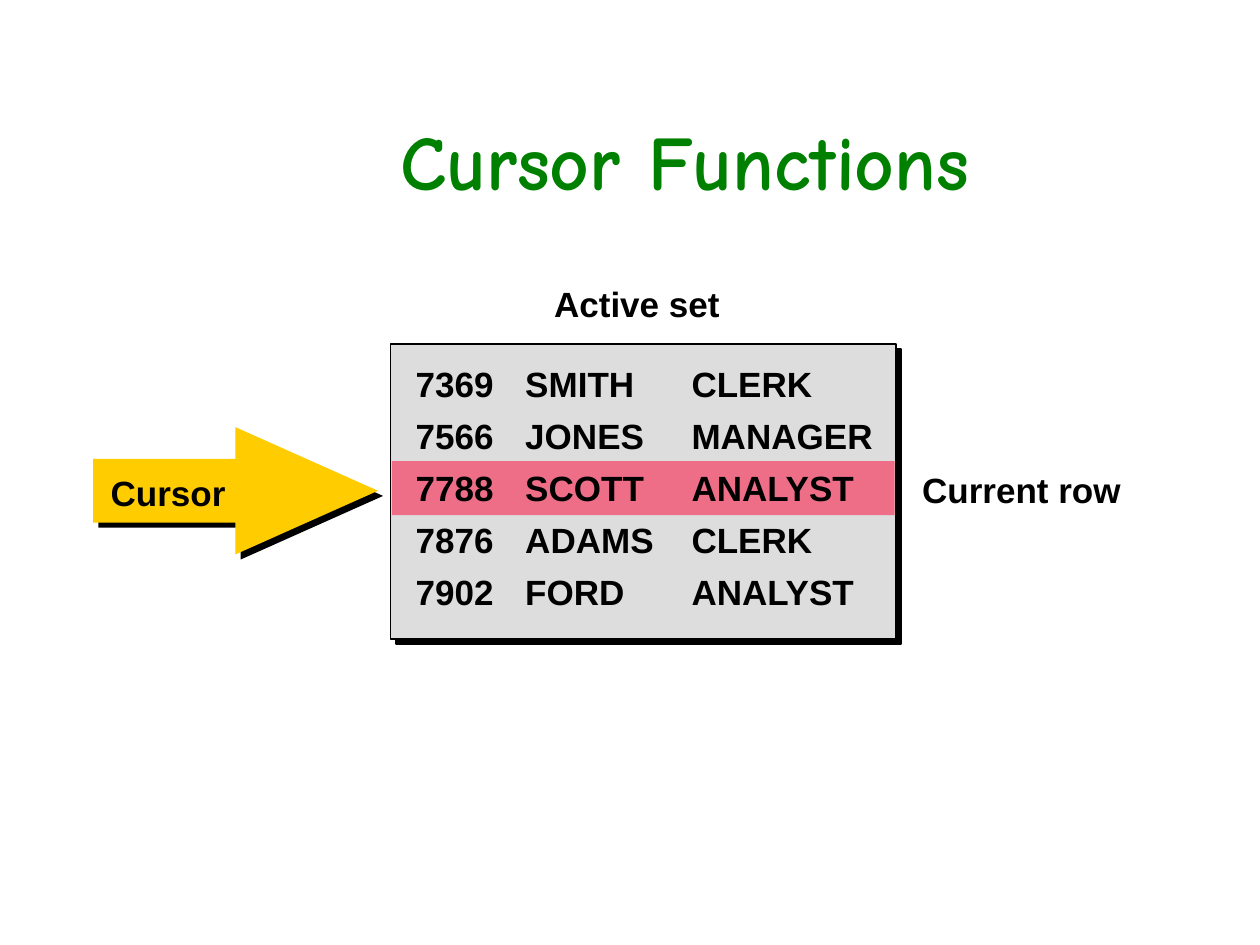
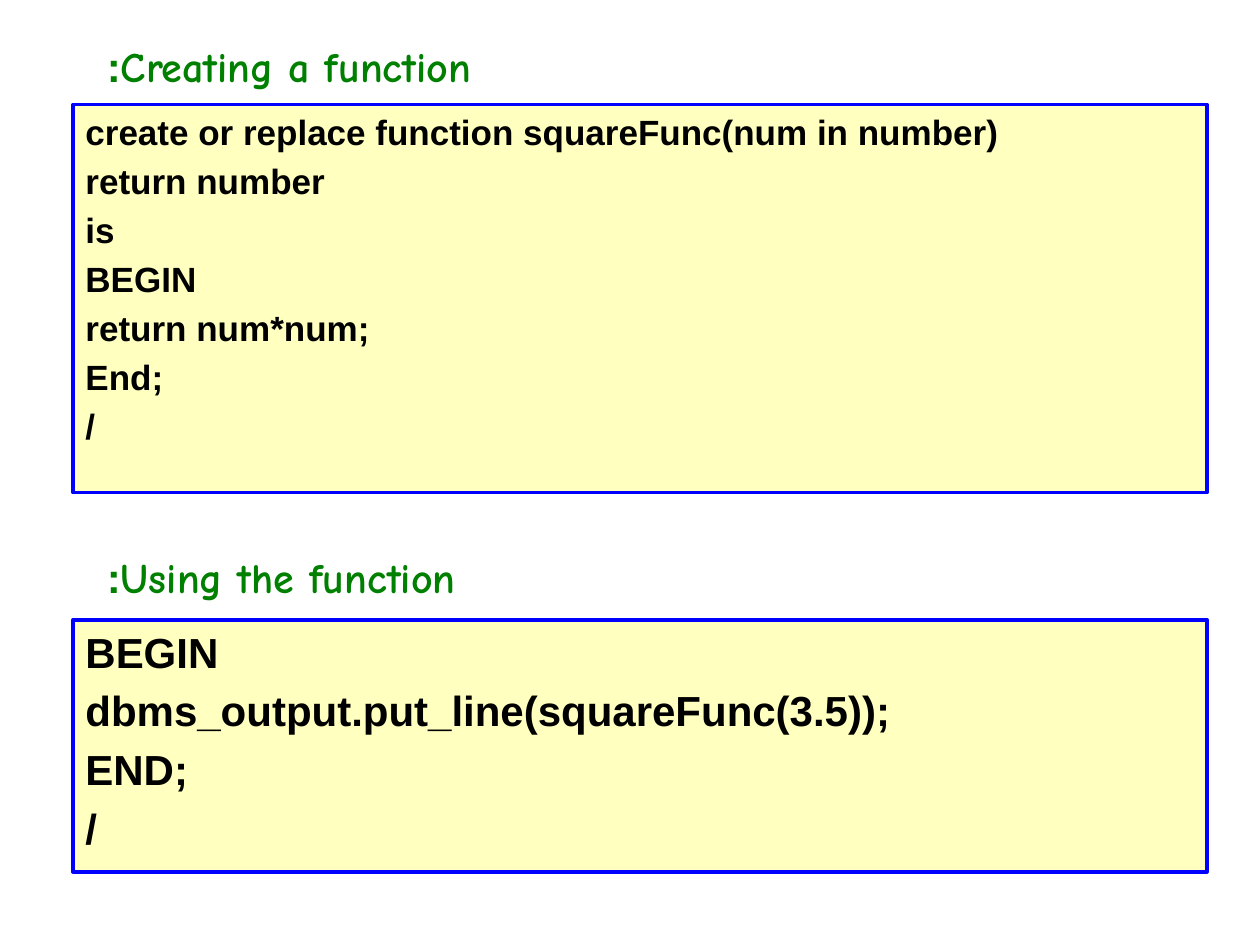
from lxml import etree
from pptx import Presentation
from pptx.dml.color import RGBColor
from pptx.enum.shapes import MSO_SHAPE
from pptx.enum.text import MSO_ANCHOR, MSO_AUTO_SIZE, PP_ALIGN
from pptx.oxml.ns import qn
from pptx.util import Inches, Pt

LEFT, CENTER = PP_ALIGN.LEFT, PP_ALIGN.CENTER
RECTANGLE, ARROW = MSO_SHAPE.RECTANGLE, MSO_SHAPE.RIGHT_ARROW
TOP, GROW = MSO_ANCHOR.TOP, MSO_AUTO_SIZE.SHAPE_TO_FIT_TEXT

BODY_FONT, TITLE_FONT = "Arial", "Comic Neue"
BLACK, GREEN, BLUE = "000000", "008000", "0000FF"
GREY, GOLD, RED, CREAM = "DDDDDD", "FFCC00", "FF0033", "FFFF99"

TITLE = "Cursor Functions"
EMPLOYEES = [
    ("7369", "SMITH", "CLERK"),
    ("7566", "JONES", "MANAGER"),
    ("7788", "SCOTT", "ANALYST"),
    ("7876", "ADAMS", "CLERK"),
    ("7902", "FORD", "ANALYST"),
]
COLUMN_STOPS = (0.87, 2.19)
LABEL_STYLE = {"line_spacing": 0.95, "before": 35}

# heading, heading top, panel top, panel height, code size, code lines
CODE_SECTIONS = [
    ("Creating a function:", 0.27, 0.83, 3.08, 20, [
        "create or replace function squareFunc(num in number)",
        "return number",
        "is",
        "BEGIN",
        "return num*num;",
        "End;",
        "/",
    ]),
    ("Using the function:", 4.33, 4.92, 2, 24, [
        "BEGIN",
        "dbms_output.put_line(squareFunc(3.5));",
        "END;",
        "/",
    ]),
]


def color(value):
    """Turn a hex string into a colour."""
    return RGBColor.from_string(value)


def add_child(parent, tag, **attributes):
    """Append a drawing element with its attributes."""
    child = etree.SubElement(parent, qn(tag))
    for name, value in attributes.items():
        child.set(name, str(value))
    return child


def write(box, lines, size=20, font=BODY_FONT, fill=BLACK, align=LEFT,
          line_spacing=None, before=0, hanging=0, stops=(), rtl=False):
    """Write bold lines, one paragraph each; before is a percentage."""
    frame = box.text_frame
    for index, line in enumerate(lines):
        para = frame.paragraphs[0] if index == 0 else frame.add_paragraph()
        para.alignment = align
        if line_spacing:
            para.line_spacing = line_spacing
        settings = para._p.get_or_add_pPr()
        if rtl:
            settings.set("rtl", "1")
        if hanging:
            settings.set("marL", str(Inches(hanging)))
            settings.set("indent", str(-Inches(hanging)))
        if before:
            spacing = add_child(settings, "a:spcBef")
            add_child(spacing, "a:spcPct", val=before * 1000)
        if stops:
            tabs = add_child(settings, "a:tabLst")
            for stop in stops:
                add_child(tabs, "a:tab", pos=Inches(stop), algn="l")
        span = para.add_run()
        span.text = line
        span.font.name = font
        span.font.size = Pt(size)
        span.font.bold = True
        span.font.color.rgb = color(fill)
        if rtl:
            add_child(span._r.get_or_add_rPr(), "a:cs", typeface=BODY_FONT)


def add_text(shapes, at, lines, wrap=True, **style):
    """Add a text box that grows with its lines."""
    box = shapes.add_textbox(*map(Inches, at))
    box.text_frame.word_wrap = wrap
    box.text_frame.auto_size = GROW
    write(box, lines, **style)


def add_block(shapes, kind, at, fill, opacity=100, line=None, width=1,
              shadow=False):
    """Add a filled shape, with an outline or hard shadow if asked."""
    block = shapes.add_shape(kind, *map(Inches, at))
    block.shadow.inherit = False
    block.fill.solid()
    block.fill.fore_color.rgb = color(fill)
    properties = block._element.spPr
    if opacity < 100:
        tint = properties.find(qn("a:solidFill"))[0]
        add_child(tint, "a:alpha", val=opacity * 1000)
    if line:
        block.line.color.rgb = color(line)
        block.line.width = Pt(width)
    else:
        block.line.fill.background()
    if shadow:
        effects = properties.find(qn("a:effectLst"))
        cast = add_child(effects, "a:outerShdw", dist=Pt(4.2),
                         dir=45 * 60000, algn="ctr", rotWithShape=0)
        add_child(cast, "a:srgbClr", val=BLACK)
    return block


def draw_cursor_page(page):
    """Draw the active set with a cursor arrow at its current row."""
    shapes = page.shapes
    add_block(shapes, RECTANGLE, (3.1, 2.73, 4.01, 2.34), GREY,
              line=BLACK, shadow=True)
    add_text(shapes, (4.03, 2.22, 2.05, 0.42), ["Active set"],
             align=CENTER, **LABEL_STYLE)
    add_text(shapes, (7.22, 3.69, 2.05, 0.42), ["Current row"], **LABEL_STYLE)

    cursor = shapes.add_group_shape().shapes
    arrow = add_block(cursor, ARROW, (0.74, 3.39, 2.26, 1.01), GOLD,
                      shadow=True)
    arrow.adjustments[0] = 0.5
    arrow.adjustments[1] = 1.12
    add_text(cursor, (0.78, 3.72, 1.19, 0.42), ["Cursor"], **LABEL_STYLE)

    add_block(shapes, RECTANGLE, (3.11, 3.66, 3.99, 0.43), RED, opacity=50)
    add_text(shapes, (3.2, 2.85, 5.21, 2.15),
             ["\t".join(employee) for employee in EMPLOYEES],
             stops=COLUMN_STOPS, **LABEL_STYLE)
    add_text(shapes, (2.89, 0.85, 5.09, 0.83), [TITLE], wrap=False,
             size=44, font=TITLE_FONT, fill=GREEN, align=CENTER)


def draw_code_page(page):
    """Draw each code panel under its heading."""
    for heading, heading_top, top, height, size, lines in CODE_SECTIONS:
        panel = add_block(page.shapes, RECTANGLE, (0.58, top, 9, height),
                          CREAM, opacity=62, line=BLUE, width=2)
        panel.text_frame.word_wrap = True
        panel.text_frame.vertical_anchor = TOP
        write(panel, lines, size=size, before=20, hanging=0.38)
        add_text(page.shapes, (0.75, heading_top, 3.92, 0.5), [heading],
                 size=24, font=TITLE_FONT, fill=GREEN, before=50, rtl=True)


deck = Presentation()
deck.slide_width, deck.slide_height = Inches(10), Inches(7.5)
for draw in (draw_cursor_page, draw_code_page):
    draw(deck.slides.add_slide(deck.slide_layouts[6]))
deck.save("out.pptx")
